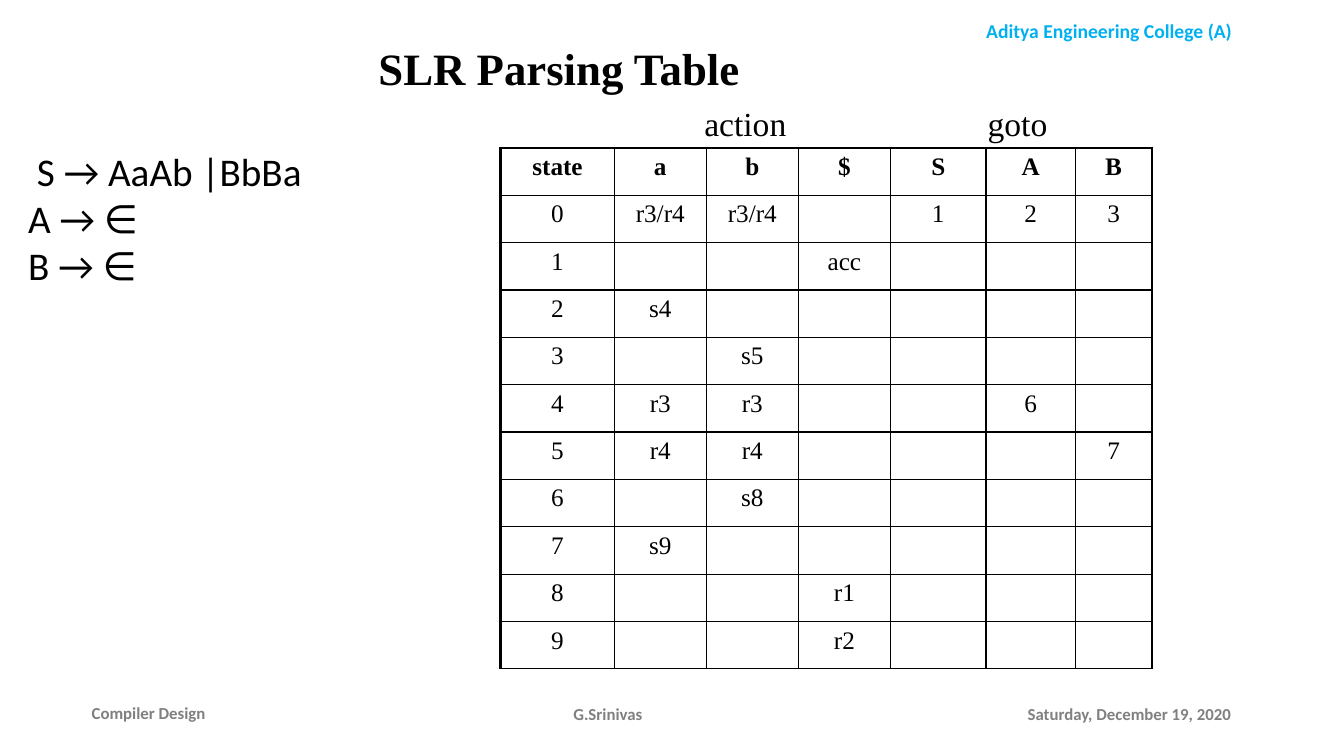
from lxml.etree import SubElement
from pptx import Presentation
from pptx.dml.color import RGBColor
from pptx.enum.text import MSO_ANCHOR as Anchor, MSO_AUTO_SIZE as AutoSize, PP_ALIGN as Align
from pptx.oxml.ns import qn
from pptx.util import Cm, Pt

BLACK = RGBColor(0x00, 0x00, 0x00)
GRAY = RGBColor(0x80, 0x80, 0x80)
SKY = RGBColor(0x00, 0xB0, 0xF0)

COLLEGE = {"name": "Calibri", "size": Pt(14), "bold": True}
FOOTER = {"name": "Calibri", "size": Pt(12), "bold": True}
TITLE = {"name": "Times New Roman", "size": Pt(32), "bold": True}
GROUP = {"name": "Times New Roman", "size": Pt(24), "bold": False}
GRAMMAR = {"name": "Calibri", "size": Pt(28), "bold": False}
HEADING = {"name": "Times New Roman", "size": Pt(18), "bold": True}
ENTRY = {"name": "Times New Roman", "size": Pt(18), "bold": False}

TOP = {"vertical_anchor": Anchor.TOP, "word_wrap": True, "auto_size": AutoSize.SHAPE_TO_FIT_TEXT}
MIDDLE = {"vertical_anchor": Anchor.MIDDLE, "word_wrap": True, "auto_size": AutoSize.NONE}
LABEL = {"vertical_anchor": Anchor.TOP, "word_wrap": False, "auto_size": AutoSize.SHAPE_TO_FIT_TEXT}

texts = [
    (["Aditya Engineering College (A)"], (23.09, 0.36, 9.73, 0.86), COLLEGE, SKY, Align.CENTER, TOP),
    (["Compiler Design"], (2.06, 17.45, 5.36, 1.02), FOOTER, GRAY, Align.JUSTIFY, MIDDLE),
    (["Saturday, December 19, 2020"], (25.65, 17.48, 5.84, 1.02), FOOTER, GRAY, Align.LEFT, MIDDLE),
    (["G.Srinivas"], (11.51, 17.48, 7.62, 1.02), FOOTER, GRAY, Align.CENTER, MIDDLE),
    (["SLR Parsing Table"], (1.07, 0.43, 26.04, 2.54), TITLE, BLACK, Align.CENTER, MIDDLE),
    (["action"], (17.5, 2.46, 2.59, 1.27), GROUP, BLACK, Align.LEFT, LABEL),
    (["goto"], (24.64, 2.46, 2.03, 1.27), GROUP, BLACK, Align.LEFT, LABEL),
    ([" S → AaAb |BbBa", "A → ∈", "B → ∈"], (0.46, 3.58, 7.95, 3.84), GRAMMAR, BLACK, Align.LEFT, TOP),
]

symbols = ["state", "a", "b", "$", "S", "A", "B"]
states = [
    {"a": "r3/r4", "b": "r3/r4", "S": "1", "A": "2", "B": "3"},
    {"$": "acc"},
    {"a": "s4"},
    {"b": "s5"},
    {"a": "r3", "b": "r3", "A": "6"},
    {"a": "r4", "b": "r4", "B": "7"},
    {"b": "s8"},
    {"a": "s9"},
    {"$": "r1"},
    {"$": "r2"},
]
symbol_widths = [2.86, 2.32, 2.32, 2.32, 2.41, 2.25, 1.93]
table_left, table_top, table_height = 12.62, 3.73, 13.13
THIN, THICK = Pt(1), Pt(2.25)


def apply(target, values):
    for key, value in values.items():
        setattr(target, key, value)


def write(paragraph, words, style, color, align):
    paragraph.alignment = align
    run = paragraph.add_run()
    run.text = words
    apply(run.font, style)
    run.font.color.rgb = color


def add_text(slide, lines, place, style, color, align, frame_format):
    frame = slide.shapes.add_textbox(*map(Cm, place)).text_frame
    apply(frame, frame_format)
    for index, line in enumerate(lines):
        paragraph = frame.add_paragraph() if index else frame.paragraphs[0]
        write(paragraph, line, style, color, align)


def add_borders(cell, widths):
    properties = cell._tc.get_or_add_tcPr()
    for side, width in widths.items():
        border = SubElement(properties, qn("a:ln" + side), w=str(width))
        fill = SubElement(border, qn("a:solidFill"))
        SubElement(fill, qn("a:srgbClr"), val=str(BLACK))


def add_parsing_table(slide):
    rows = [symbols]
    for number, actions in enumerate(states):
        rows.append([str(number)] + [actions.get(symbol, "") for symbol in symbols[1:]])
    place = (table_left, table_top, sum(symbol_widths), table_height)
    table = slide.shapes.add_table(len(rows), len(symbols), *map(Cm, place)).table
    apply(table, {"first_row": False, "horz_banding": False})
    for column, width in zip(table.columns, symbol_widths):
        column.width = Cm(width)
    last = len(symbols) - 1
    for r, row in enumerate(rows):
        table.rows[r].height = Cm(table_height / len(rows))
        for c, words in enumerate(row):
            cell = table.cell(r, c)
            add_borders(cell, {
                "L": THICK if c == 0 else THIN,
                "R": THICK if c == last else THIN,
                "T": THICK if r == 0 else THIN,
                "B": THIN,
            })
            cell.fill.background()
            if words:
                style = ENTRY if r else HEADING
                write(cell.text_frame.paragraphs[0], words, style, BLACK, Align.CENTER)


def main():
    deck = Presentation()
    apply(deck, {"slide_width": Cm(33.87), "slide_height": Cm(19.05)})
    slide = deck.slides.add_slide(deck.slide_layouts[6])
    add_parsing_table(slide)
    for text in texts:
        add_text(slide, *text)
    deck.save("out.pptx")


if __name__ == "__main__":
    main()
